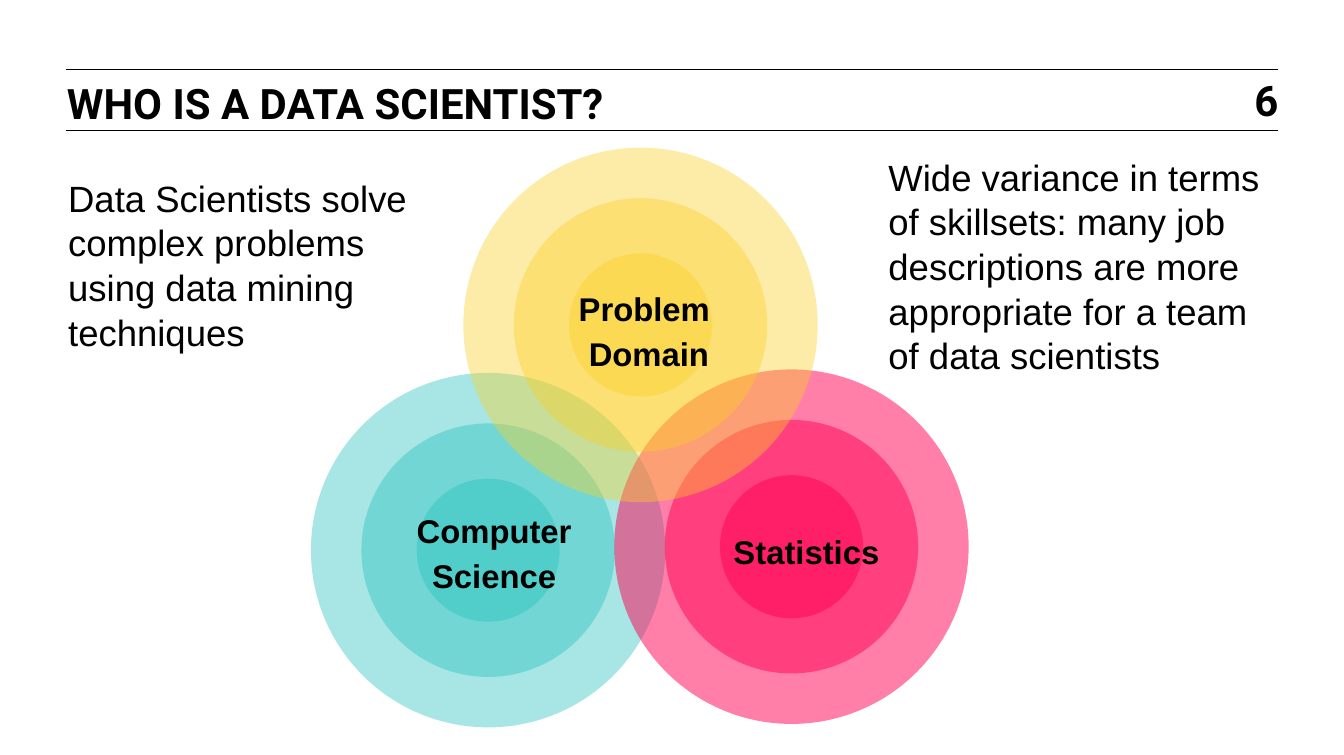
import pptx
import pptx.dml.color
import pptx.enum.shapes
import pptx.enum.text
import pptx.oxml
import pptx.oxml.ns
import pptx.util
import lxml.etree

Pt = pptx.util.Pt
ALIGN = pptx.enum.text.PP_ALIGN
ANCHOR = pptx.enum.text.MSO_ANCHOR

COLORS = {
    "ink": "000000",
    "computing": "23C2BC",
    "statistics": "FF0054",
    "domain": "FBD025",
}
RING_DIAMETERS = (194.4, 139, 78.5)
BOX_INSETS = (5, 2.9, 5, 2.9)


def rgb(name):
    return pptx.dml.color.RGBColor.from_string(COLORS[name])


def write_text(frame, paragraphs, size=20, font="Arial", bold=False,
               align=ALIGN.LEFT, anchor=ANCHOR.TOP, spacing=24.5,
               insets=BOX_INSETS):
    """Fill a text frame, one paragraph per string; insets run left, top, right, bottom."""
    frame.word_wrap = True
    frame.auto_size = pptx.enum.text.MSO_AUTO_SIZE.NONE
    frame.vertical_anchor = anchor
    (frame.margin_left, frame.margin_top,
     frame.margin_right, frame.margin_bottom) = map(Pt, insets)
    frame.text = "\n".join(paragraphs)
    for paragraph in frame.paragraphs:
        paragraph.alignment = align
        paragraph.line_spacing = Pt(spacing)
        paragraph.space_before = paragraph.space_after = Pt(0)
        for run in paragraph.runs:
            run.font.size = Pt(size)
            run.font.name = font
            run.font.bold = bold
            run.font.color.rgb = rgb("ink")


class SlideBuilder:
    def __init__(self, slide):
        self.slide = slide

    def title(self, text, left, top, width, height):
        heading = self.slide.shapes.title
        heading.left, heading.top = Pt(left), Pt(top)
        heading.width, heading.height = Pt(width), Pt(height)
        write_text(heading.text_frame, [text], size=23, font="Roboto",
                   bold=True, insets=(7.2, 3.6, 7.2, 3.6))

    def text(self, paragraphs, left, top, width, height, **style):
        box = self.slide.shapes.add_textbox(Pt(left), Pt(top), Pt(width), Pt(height))
        write_text(box.text_frame, paragraphs, **style)

    def rule(self, left, right, y):
        line = self.slide.shapes.add_connector(
            pptx.enum.shapes.MSO_CONNECTOR.STRAIGHT, Pt(left), Pt(y), Pt(right), Pt(y))
        line.line.color.rgb = rgb("ink")
        line.line.width = Pt(0.5)
        lxml.etree.SubElement(line._element.spPr, pptx.oxml.ns.qn("a:effectLst"))

    def disc(self, center_x, center_y, diameter, color, opacity):
        disc = self.slide.shapes.add_shape(
            pptx.enum.shapes.MSO_SHAPE.OVAL,
            Pt(center_x - diameter / 2), Pt(center_y - diameter / 2),
            Pt(diameter), Pt(diameter))
        disc.shadow.inherit = False
        disc.line.fill.background()
        disc.fill.solid()
        disc.fill.fore_color.rgb = rgb(color)
        color_element = disc._element.spPr.find(".//" + pptx.oxml.ns.qn("a:srgbClr"))
        alpha = lxml.etree.SubElement(color_element, pptx.oxml.ns.qn("a:alpha"))
        alpha.set("val", str(opacity * 1000))

    def skill(self, center, color, opacity, label, label_left, label_top):
        """Draw concentric translucent discs with a bold label on top."""
        for diameter in RING_DIAMETERS:
            self.disc(*center, diameter, color, opacity)
        self.text(label, label_left, label_top, 156.2, 53.3,
                  size=18, bold=True, align=ALIGN.CENTER)


def main():
    deck = pptx.Presentation()
    deck.slide_width, deck.slide_height = Pt(737.28), Pt(414)
    builder = SlideBuilder(deck.slides.add_slide(deck.slide_layouts[5]))

    for y in (38.2, 71.3):
        builder.rule(36, 701.3, y)
    builder.title("WHO IS A DATA SCIENTIST?", 29.5, 41.8, 504, 23.8)
    builder.text(["6"], 681.1, 44.6, 20.2, 24.5, size=23, font="Roboto", bold=True,
                 align=ALIGN.RIGHT, anchor=ANCHOR.MIDDLE, spacing=23,
                 insets=(5, 2.9, 0, 2.9))

    builder.skill((267.8, 301.7), "computing", 40, ["Computer Science"], 193, 274.3)
    builder.skill((434.2, 299.8), "statistics", 50, ["Statistics"], 364.3, 285.8)
    builder.skill((351.4, 178.2), "domain", 40, ["Problem ", "Domain"], 277.9, 152.6)

    builder.text(["Data Scientists solve", "complex problems",
                  "using data mining techniques"], 32.4, 92.9, 221.8, 109.4)
    builder.text(["Wide variance in terms of skillsets: many job descriptions are more "
                  "appropriate for a team of data scientists"], 482.4, 81.4, 221.8, 109.4)

    deck.save("out.pptx")


if __name__ == "__main__":
    main()
